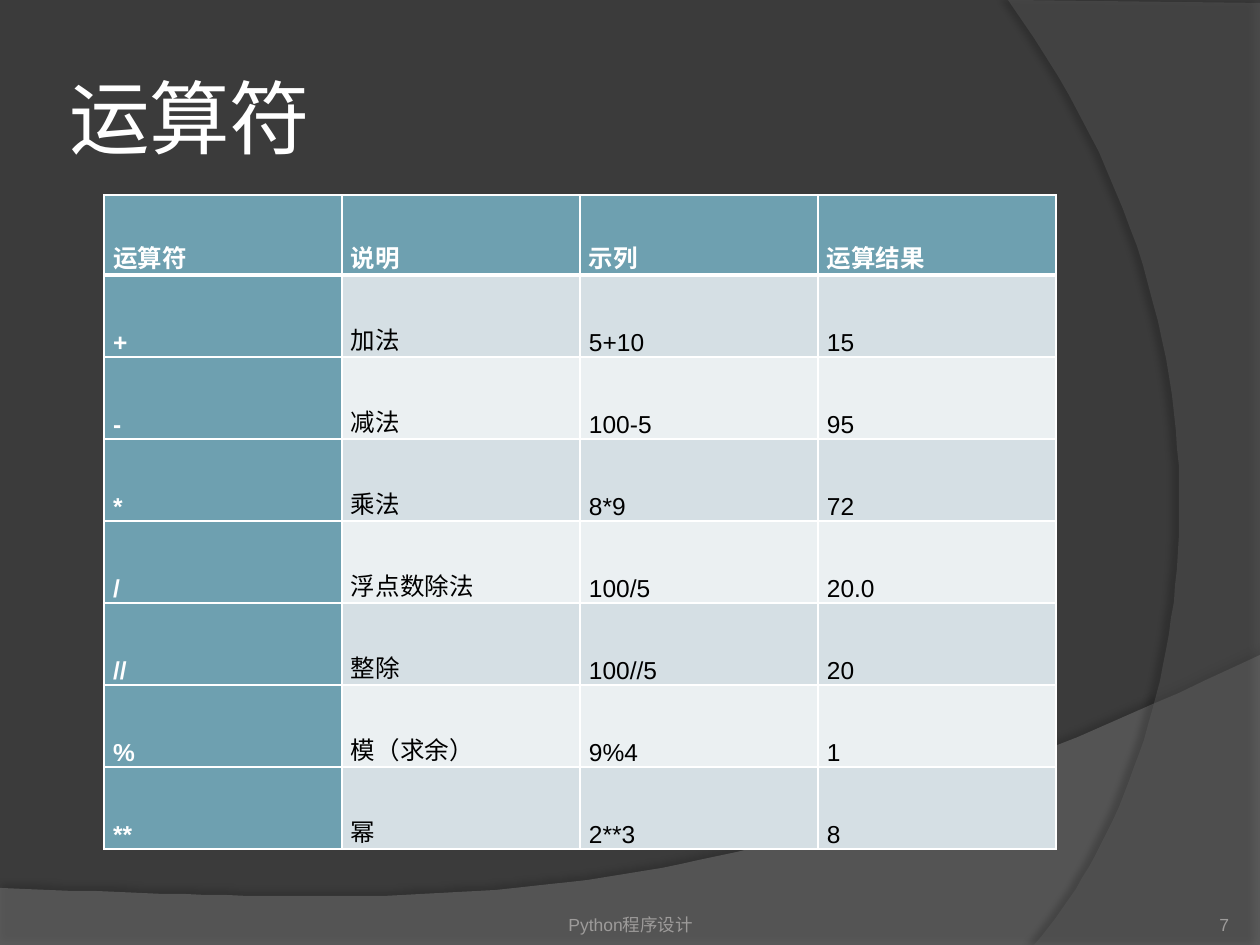
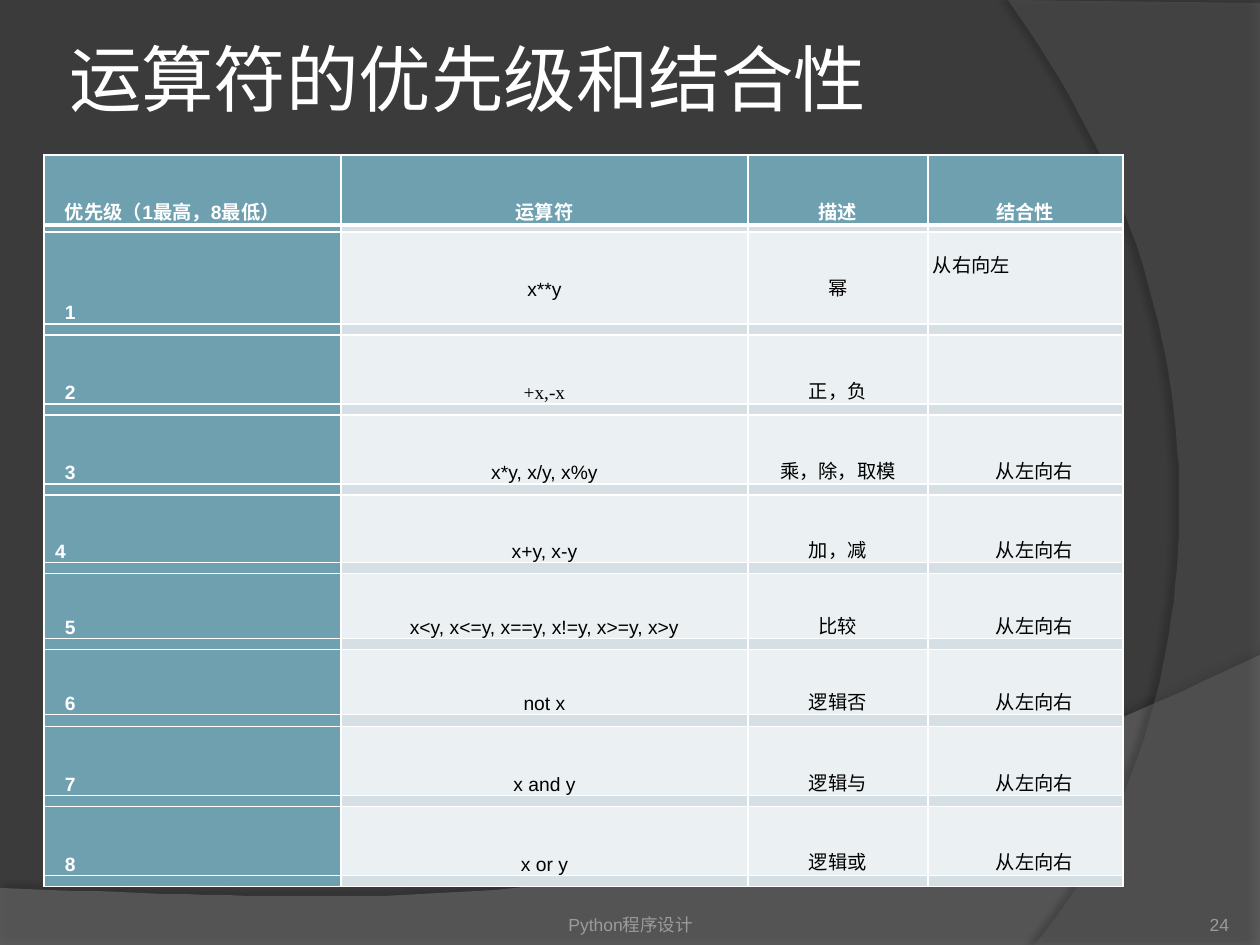
from dataclasses import dataclass

from lxml.etree import SubElement
from pptx import Presentation
from pptx.dml.color import RGBColor
from pptx.enum.text import MSO_ANCHOR, PP_ALIGN
from pptx.oxml.ns import qn
from pptx.util import Pt

PX = 914400 / 126


@dataclass(frozen=True)
class Theme:
    back: str = "3B3B3B"
    wave: str = "7F7F7F"
    arc: str = "5E5E5E"
    shade: str = "000000"
    head: str = "6EA0B0"
    odd: str = "D5DFE4"
    even: str = "EBF0F2"
    light: str = "FFFFFF"
    dark: str = "000000"
    foot: str = "9D9B9A"
    body: str = "Arial"
    title: str = "Lato"
    serif: str = "Times New Roman"
    small: float = 10
    spacer: float = 1


theme = Theme()


def px(count):
    return round(count * PX)


def write(holder, text, look):
    """Put one styled paragraph into a cell or a text frame."""
    left, top, right, bottom = look["inset"]
    places = {
        "margin_left": px(left),
        "margin_top": px(top),
        "margin_right": px(right),
        "margin_bottom": px(bottom),
        "vertical_anchor": look.get("anchor", MSO_ANCHOR.BOTTOM),
    }
    for name, value in places.items():
        setattr(holder, name, value)
    frame = getattr(holder, "text_frame", holder)
    frame.word_wrap = True
    para = frame.paragraphs[0]
    if not text:
        SubElement(para._p, qn("a:endParaRPr"), sz=str(theme.spacer * 100))
        return
    para.alignment = look.get("align", PP_ALIGN.LEFT)
    if look.get("lead"):
        para.line_spacing = Pt(look["lead"])
    if look.get("indent"):
        para._p.get_or_add_pPr().set("marL", str(px(look["indent"])))
    run = para.add_run()
    run.text = text
    style = {"size": Pt(look["size"]), "name": look.get("font", theme.body), "bold": look.get("bold", False)}
    for name, value in style.items():
        setattr(run.font, name, value)
    run.font.color.rgb = RGBColor.from_string(look["color"])


# Background outlines: straight corners, then a Bezier curve from the last corner
# (two controls and an end). Shadows: opacity %, blur pt, distance pt, angle.
outlines = [
    {
        "corners": [(0, 888), (0, 945), (1260, 945), (1260, 655)],
        "curve": [(704, 919), (493, 906), (0, 888)],
        "color": theme.wave, "alpha": 45, "shadow": (35, 4, 3.5, 270),
    },
    {
        "corners": [(1260, 3), (1260, 945), (1034, 945)],
        "curve": [(1178, 780), (1283, 378), (1008, 0)],
        "color": theme.arc, "alpha": 40, "shadow": (45, 4, 4, 180),
    },
]
STEPS = 60

basic = [
    ["运算符", "说明", "示列", "运算结果"],
    ["+", "加法", "5+10", "15"],
    ["-", "减法", "100-5", "95"],
    ["*", "乘法", "8*9", "72"],
    ["/", "浮点数除法", "100/5", "20.0"],
    ["//", "整除", "100//5", "20"],
    ["%", "模（求余）", "9%4", "1"],
    ["**", "幂", "2**3", "8"],
]

ranks = [
    ("x**y", "幂", "从右向左"),
    ("+x,-x", "正，负", ""),
    ("x*y, x/y, x%y", "乘，除，取模", "从左向右"),
    ("x+y, x-y", "加，减", "从左向右"),
    ("x<y, x<=y, x==y, x!=y, x>=y, x>y", "比较", "从左向右"),
    ("not x", "逻辑否", "从左向右"),
    ("x and y", "逻辑与", "从左向右"),
    ("x or y", "逻辑或", "从左向右"),
]
blank = [""] * 4
order = [["优先级（1最高，8最低）", "运算符", "描述", "结合性"], blank]
for rank, row in enumerate(ranks, 1):
    order += [[str(rank), *row], blank]

middle = {"align": PP_ALIGN.CENTER}
pages = [
    {
        "title": "运算符", "size": 46, "drop": 6, "number": "7",
        "cells": basic, "at": (104, 195),
        "cols": [238] * 4, "rows": [80] + [82] * 7,
        "look": {"size": 14, "inset": (9, 0, 9, 0), "lead": 14.5},
        "columns": [{}] * 4, "special": {},
    },
    {
        "title": "运算符的优先级和结合性", "size": 41.4, "drop": 84, "number": "24",
        "cells": order, "at": (44, 155),
        "cols": [297, 407, 180, 195],
        "rows": [70, 7, 92, 11, 69, 11, 69, 11, 68, 11, 65, 11, 65, 12, 69, 11, 69, 11],
        "look": {"size": 11, "inset": (0, 0, 0, 0)},
        "columns": [{"indent": 21}, middle, middle, {**middle, "indent": 18}],
        "special": {
            **{(0, col): {"lead": 13.3} for col in range(3)},
            (0, 3): {"lead": 13.3, "indent": 0},
            (2, 1): {"inset": (0, 0, 0, 23)},
            (2, 2): {"inset": (0, 0, 0, 23)},
            (2, 3): {"inset": (0, 0, 0, 46), "align": PP_ALIGN.LEFT, "indent": 5},
            (4, 1): {"font": theme.serif},
            (8, 0): {"indent": 11},
        },
    },
]

deck = Presentation()
deck.slide_width, deck.slide_height = px(1260), px(945)
fill = deck.slide_master.background.fill
fill.solid()
fill.fore_color.rgb = RGBColor.from_string(theme.back)

for page in pages:
    slide = deck.slides.add_slide(deck.slide_layouts[6])

    for item in outlines:
        start, *rest = item["corners"]
        knots = [rest[-1], *item["curve"]]
        for step in range(1, STEPS + 1):
            t = step / STEPS
            parts = ((1 - t) ** 3, 3 * t * (1 - t) ** 2, 3 * t * t * (1 - t), t ** 3)
            rest.append(tuple(sum(w * knot[axis] for w, knot in zip(parts, knots)) for axis in (0, 1)))
        builder = slide.shapes.build_freeform(*start, scale=PX)
        builder.add_line_segments(rest, close=True)
        shape = builder.convert_to_shape()
        shape.line.fill.background()
        shape.fill.solid()
        shape.fill.fore_color.rgb = RGBColor.from_string(item["color"])
        tint = shape._element.spPr.find(qn("a:solidFill"))[0]
        SubElement(tint, qn("a:alpha"), val=str(item["alpha"] * 1000))
        shape.shadow.inherit = False
        alpha, blur, dist, angle = item["shadow"]
        cast = SubElement(
            shape._element.spPr.find(qn("a:effectLst")), qn("a:outerShdw"),
            blurRad=str(Pt(blur)), dist=str(Pt(dist)), dir=str(angle * 60000), rotWithShape="0",
        )
        tint = SubElement(cast, qn("a:srgbClr"), val=theme.shade)
        SubElement(tint, qn("a:alpha"), val=str(alpha * 1000))

    small = {"size": theme.small, "color": theme.foot}
    texts = [
        (page["title"], (63, 38, 1029, 157), {
            "size": page["size"], "color": theme.light, "font": theme.title,
            "inset": (6, 6, 6, page["drop"]), "anchor": MSO_ANCHOR.MIDDLE,
        }),
        ("Python程序设计", (431, 885, 399, 50), {**small, **middle, "inset": (0, 6, 0, 0)}),
        (page["number"], (1124, 885, 105, 50), {**small, "align": PP_ALIGN.RIGHT, "inset": (0, 0, 0, 0)}),
    ]
    for text, spot, look in texts:
        box = slide.shapes.add_textbox(*map(px, spot))
        write(box.text_frame, text, look)

    cols, rows = page["cols"], page["rows"]
    spot = (*page["at"], sum(cols), sum(rows))
    table = slide.shapes.add_table(len(rows), len(cols), *map(px, spot)).table
    for col, width in zip(table.columns, cols):
        col.width = px(width)
    for row, height in zip(table.rows, rows):
        row.height = px(height)
    for r, line in enumerate(page["cells"]):
        for c, text in enumerate(line):
            cell = table.cell(r, c)
            key = r == 0 or c == 0
            look = {
                "color": theme.light if key else theme.dark, "bold": key,
                **page["look"], **page["columns"][c], **page["special"].get((r, c), {}),
            }
            write(cell, text, look)
            for side in ("L", "R", "T", "B"):
                thick = (r, side) in ((0, "B"), (1, "T"))
                edge = SubElement(cell._tc.get_or_add_tcPr(), qn(f"a:ln{side}"), w=str(Pt(3 if thick else 1)))
                SubElement(SubElement(edge, qn("a:solidFill")), qn("a:srgbClr"), val=theme.light)
            cell.fill.solid()
            band = theme.head if key else theme.odd if r % 2 else theme.even
            cell.fill.fore_color.rgb = RGBColor.from_string(band)

deck.save("out.pptx")
